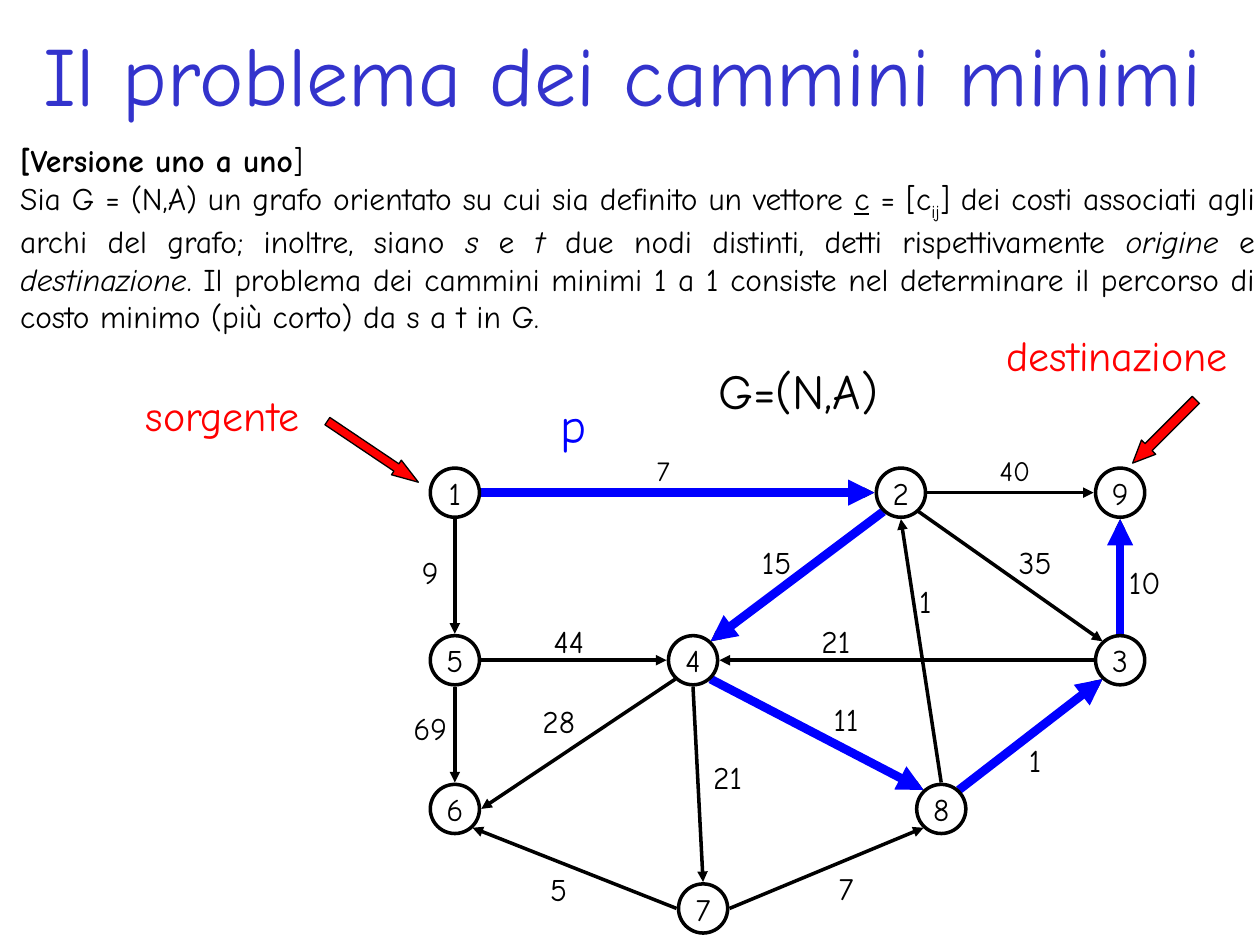
from lxml import etree
from pptx import Presentation, util as u
from pptx.dml.color import RGBColor
from pptx.enum import shapes, text
from pptx.oxml.ns import qn

BLACK = RGBColor(0x00, 0x00, 0x00)
WHITE = RGBColor(0xFF, 0xFF, 0xFF)
RED = RGBColor(0xFF, 0x00, 0x00)
BLUE = RGBColor(0x00, 0x00, 0xFF)
TITLE_BLUE = RGBColor(0x33, 0x33, 0xCC)
FONT = "Comic Neue"

# The slide is a grid of 100 columns and 75 rows; all positions are in cells.
WIDTH, HEIGHT = u.Inches(10), u.Inches(7.5)
COLUMN, ROW = WIDTH / 100, HEIGHT / 75

NODE_SIZE = 3.9
NODES = {  # node: centre column, centre row
    "1": (36.1, 39.1), "2": (71.5, 39.1), "9": (88.9, 39.1),
    "5": (36.1, 52.4), "4": (55, 52.4), "3": (88.9, 52.4),
    "6": (36.1, 64.2), "8": (74.7, 64.2), "7": (55.8, 72.1),
}
PORTS = {  # offset of each arc end from the node centre
    "N": (0, -2.1), "S": (0, 2.1), "E": (2.1, 0), "W": (-2.1, 0),
    "NE": (1.4, -1.5), "NW": (-1.4, -1.5), "SE": (1.4, 1.5), "SW": (-1.4, 1.5),
}
ARCS = [  # from, port, to, port, cost, label column, label row, label size
    ("1", "E", "2", "W", "7", 50.3, 35.5, 16),
    ("1", "S", "5", "N", "9", 31.8, 43.4, 18),
    ("2", "E", "9", "W", "40", 78.2, 35.5, 16),
    ("2", "SE", "3", "NW", "35", 79.8, 42.6, 18),
    ("2", "SW", "4", "NE", "15", 59.3, 42.6, 18),
    ("3", "N", "9", "S", "10", 88.5, 44.2, 18),
    ("3", "W", "4", "E", "21", 64, 48.9, 18),
    ("4", "SW", "6", "E", "28", 42, 55.2, 18),
    ("4", "S", "7", "N", "21", 55.4, 59.7, 18),
    ("4", "SE", "8", "NW", "11", 64.8, 55.1, 18),
    ("5", "S", "6", "N", "69", 31.8, 55.8, 18),
    ("5", "E", "4", "W", "44", 42.8, 48.9, 18),
    ("7", "W", "6", "SE", "5", 42, 68.6, 18),
    ("7", "E", "8", "SW", "7", 64.8, 68.5, 18),
    ("8", "N", "2", "S", "1", 71.1, 45.7, 18),
    ("8", "NE", "3", "SW", "1", 79.8, 58.3, 18),
]
MINIMUM_PATH = [("1", "2"), ("2", "4"), ("4", "8"), ("8", "3"), ("3", "9")]

CAPTIONS = [  # text, column, row, width, height, size, colour
    ("G=(N,A)", 55.5, 28.1, 15.7, 5.7, 28, BLACK),
    ("sorgente", 9, 30.4, 17.3, 5, 24, RED),
    ("destinazione", 78.4, 25.7, 20.5, 5, 24, RED),
    ("p", 43.6, 30.8, 3.9, 5.7, 28, BLUE),
]
POINTERS = [  # column, row, width, height, rotation, head length
    (28.9, 31.5, 1.4, 8.7, 303.9, 1.5),
    (91.6, 30.7, 1.6, 7.1, 45, 1.12),
]

ITALIC = {"italic": True}
DEFINITION = [
    [("[Versione uno a uno", {"bold": True}), ("]", {})],
    [
        ("Sia G = (N,A) un grafo orientato su cui sia definito un vettore ", {}),
        ("c", {"underline": True}),
        (" = [c", {}),
        ("ij", {"subscript": True}),
        ("] dei costi associati agli archi del grafo; inoltre, siano ", {}),
        ("s", ITALIC),
        (" e ", {}),
        ("t", ITALIC),
        (" due nodi distinti, detti rispettivamente ", {}),
        ("origine", ITALIC),
        (" e ", {}),
        ("destinazione", ITALIC),
        (". Il problema dei cammini minimi 1 a 1 consiste nel determinare il "
         "percorso di costo minimo (più corto) da s a t in G.", {}),
    ],
]


def cells(column, row):
    return u.Emu(round(column * COLUMN)), u.Emu(round(row * ROW))


def apply(target, formats):
    for name, value in formats.items():
        setattr(target, name, value)


def add_run(paragraph, content, size, color, formats):
    run = paragraph.add_run()
    run.text = content
    formats = dict(formats)
    if formats.pop("subscript", False):
        run.font._element.set("baseline", "-25000")
    apply(run.font, {"name": FONT, "size": u.Pt(size), **formats})
    run.font.color.rgb = color


def fill_text(shape, paragraphs, size, color, align=text.PP_ALIGN.CENTER,
              side=0, **frame_formats):
    """Write paragraphs, each a list of (text, formats) runs, into a shape."""
    frame = shape.text_frame
    apply(frame, {"word_wrap": True, "margin_left": u.Inches(side),
                  "margin_right": u.Inches(side), **frame_formats})
    for index, runs in enumerate(paragraphs):
        paragraph = frame.add_paragraph() if index else frame.paragraphs[0]
        paragraph.alignment = align
        for content, formats in runs:
            add_run(paragraph, content, size, color, formats)


def add_text(slide, paragraphs, column, row, width, height, size, color, **options):
    box = slide.shapes.add_textbox(*cells(column, row), *cells(width, height))
    fill_text(box, paragraphs, size, color, **options)


def add_outlined(slide, kind, column, row, width, height, fill, weight):
    shape = slide.shapes.add_shape(kind, *cells(column, row), *cells(width, height))
    shape.shadow.inherit = False
    shape.fill.solid()
    shape.fill.fore_color.rgb = fill
    shape.line.color.rgb = BLACK
    shape.line.width = u.Pt(weight)
    return shape


def add_node(slide, name, column, row):
    half = NODE_SIZE / 2
    node = add_outlined(slide, shapes.MSO_SHAPE.OVAL, column - half, row - half,
                        NODE_SIZE, NODE_SIZE, WHITE, 2)
    fill_text(node, [[(name, {})]], 18, BLACK, word_wrap=False,
              vertical_anchor=text.MSO_ANCHOR.MIDDLE)


def port(node, side):
    return cells(*(a + b for a, b in zip(NODES[node], PORTS[side])))


def add_arc(slide, tail, tail_port, head, head_port, color, weight):
    arc = slide.shapes.add_connector(shapes.MSO_CONNECTOR.STRAIGHT,
                                     *port(tail, tail_port), *port(head, head_port))
    arc.line.color.rgb = color
    arc.line.width = u.Pt(weight)
    etree.SubElement(arc.line._get_or_add_ln(), qn("a:tailEnd"), type="triangle")
    etree.SubElement(arc._element.spPr, qn("a:effectLst"))


def add_pointer(slide, column, row, width, height, rotation, head):
    pointer = add_outlined(slide, shapes.MSO_SHAPE.DOWN_ARROW, column, row,
                           width, height, RED, 0.75)
    pointer.adjustments[0] = 0.5
    pointer.adjustments[1] = head
    pointer.rotation = rotation


def add_graph(slide):
    for *ends, cost, column, row, size in ARCS:
        add_arc(slide, *ends, BLACK, 2)
        add_text(slide, [[(cost, {})]], column, row, 4.7, 4, size, BLACK)
    for *ends, _, _, _, _ in ARCS:
        if (ends[0], ends[2]) in MINIMUM_PATH:
            add_arc(slide, *ends, BLUE, 5)
    for name, centre in NODES.items():
        add_node(slide, name, *centre)


def main():
    presentation = Presentation()
    apply(presentation, {"slide_width": WIDTH, "slide_height": HEIGHT})
    slide = presentation.slides.add_slide(presentation.slide_layouts[6])
    add_text(slide, [[("Il problema dei cammini minimi", {})]],
             0.4, 1.3, 98, 7.1, 48, TITLE_BLUE, side=0.1)
    add_text(slide, DEFINITION, 1.2, 10.7, 98.8, 16.1, 18, BLACK,
             align=text.PP_ALIGN.JUSTIFY, side=0.04)
    add_graph(slide)
    for caption, *place in CAPTIONS:
        add_text(slide, [[(caption, {})]], *place)
    for pointer in POINTERS:
        add_pointer(slide, *pointer)
    presentation.save("out.pptx")


if __name__ == "__main__":
    main()
